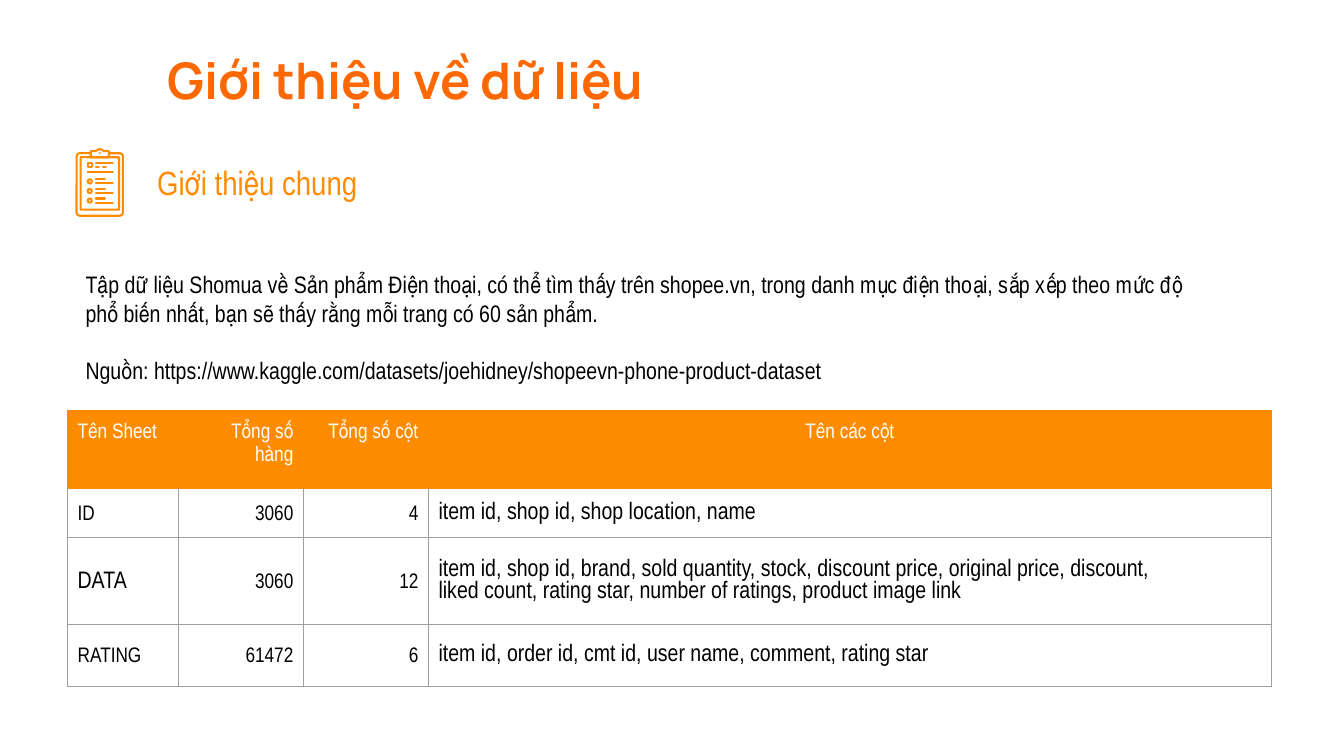
from dataclasses import dataclass

from lxml.etree import SubElement
from pptx import Presentation
from pptx.dml.color import RGBColor
from pptx.enum.shapes import MSO_CONNECTOR as Connector, MSO_SHAPE as Shape
from pptx.enum.text import MSO_ANCHOR as Anchor, PP_ALIGN as Align
from pptx.oxml.ns import qn
from pptx.util import Inches, Pt


@dataclass(frozen=True)
class Theme:
    title_color: str = "FD6803"
    accent: str = "FF8C00"
    ink: str = "000000"
    paper: str = "FFFFFF"
    rule: str = "9E9E9E"
    title_font: str = "Manrope"
    text_font: str = "Arial Narrow"
    title_size: int = 36
    heading_size: int = 24
    body_size: int = 17
    cell_size: int = 15
    rule_width: float = 0.75
    icon_stroke: float = 1.5


@dataclass(frozen=True)
class Box:
    left: float
    top: float
    width: float
    height: float

    def point(self, column, row, columns, rows):
        return (Inches(self.left + self.width * column / columns),
                Inches(self.top + self.height * row / rows))

    def emu(self):
        return [Inches(side) for side in (self.left, self.top, self.width, self.height)]


THEME = Theme()
ICON_GRID = (48, 68)
COLUMN_SHARES = (1.1, 1.24, 1.24, 8.36)
ROW_SHARES = (0.77, 0.49, 0.86, 0.62)
HEADERS = ("Tên Sheet", "Tổng số hàng", "Tổng số cột", "Tên các cột")
SHEETS = (
    ("ID", "3060", "4", ("item id, shop id, shop location, name",)),
    ("DATA", "3060", "12", (
        "item id, shop id, brand, sold quantity, stock, discount price, original price, discount,",
        "liked count, rating star, number of ratings, product image link")),
    ("RATING", "61472", "6", ("item id, order id, cmt id, user name, comment, rating star",)),
)
INTRO = (
    "Tập dữ liệu Shomua về Sản phẩm Điện thoại, có thể tìm thấy trên shopee.vn, trong danh mục "
    "điện thoại, sắp xếp theo mức độ phổ biến nhất, bạn sẽ thấy rằng mỗi trang có 60 sản phẩm.",
    "Nguồn: https://www.kaggle.com/datasets/joehidney/shopeevn-phone-product-dataset",
)


def rgb(color):
    return RGBColor.from_string(color)


def write(frame, lines, size, color, font=THEME.text_font, bold=False,
          align=Align.LEFT, spacing=1.0, gap=0):
    frame.word_wrap = True
    for index, line in enumerate(lines):
        paragraph = frame.add_paragraph() if index else frame.paragraphs[0]
        paragraph.alignment = align
        paragraph.line_spacing = spacing
        paragraph.space_before = Pt(gap if index else 0)
        run = paragraph.add_run()
        run.text = line
        run.font.size = Pt(size)
        run.font.name = font
        run.font.bold = bold
        run.font.color.rgb = rgb(color)


def set_insets(holder, inset):
    holder.margin_left = holder.margin_right = Inches(inset)
    holder.margin_top = holder.margin_bottom = Inches(inset)


def add_title(slide, box):
    title = slide.shapes.title
    title.left, title.top, title.width, title.height = box.emu()
    set_insets(title.text_frame, 0.13)
    title.text_frame.vertical_anchor = Anchor.TOP
    write(title.text_frame, ["Giới thiệu về dữ liệu"], THEME.title_size,
          THEME.title_color, THEME.title_font, bold=True)


def add_passage(slide, box, lines, size, color, anchor, gap=0):
    frame = slide.shapes.add_textbox(*box.emu()).text_frame
    set_insets(frame, 0.1)
    frame.vertical_anchor = anchor
    write(frame, lines, size, color, gap=gap)


def outline(part, fill=None):
    part.shadow.inherit = False
    if fill:
        part.fill.solid()
        part.fill.fore_color.rgb = rgb(fill)
    else:
        part.fill.background()
    part.line.color.rgb = rgb(THEME.accent)
    part.line.width = Pt(THEME.icon_stroke)


def add_clipboard(slide, box):
    shapes = slide.shapes

    def at(column, row):
        return box.point(column, row, *ICON_GRID)

    def preset(kind, left, top, right, bottom, rounding=None, fill=None):
        (x, y), (end_x, end_y) = at(left, top), at(right, bottom)
        part = shapes.add_shape(kind, x, y, end_x - x, end_y - y)
        if rounding is not None:
            part.adjustments[0] = rounding
        outline(part, fill)

    def stroke(start, end, row):
        line = shapes.add_connector(Connector.STRAIGHT, *at(start, row), *at(end, row))
        line.line.color.rgb = rgb(THEME.accent)
        line.line.width = Pt(THEME.icon_stroke)
        line.line._get_or_add_ln().set("cap", "rnd")
        SubElement(line._element.spPr, qn("a:effectLst"))

    preset(Shape.ROUNDED_RECTANGLE, 1, 5, 47, 67, 0.07)
    preset(Shape.ROUNDED_RECTANGLE, 5, 9, 43, 61, 0.01)
    clip = ((15, 9), (15, 3), (20, 3), (22, 1.5), (24, 1),
            (26, 1.5), (28, 3), (33, 3), (33, 9))
    builder = shapes.build_freeform(*at(*clip[0]))
    builder.add_line_segments([at(*corner) for corner in clip[1:]], close=True)
    outline(builder.convert_to_shape(), THEME.paper)
    stroke(23.9, 24.1, 5)

    preset(Shape.RECTANGLE, 12, 15, 16, 19)
    for start, end, row in ((20, 37, 15), (20, 23, 19), (27, 30, 19), (12, 37, 24)):
        stroke(start, end, row)
    for item in range(3):
        middle = 33 + 9.5 * item
        preset(Shape.OVAL, 12, middle - 2, 16, middle + 2)
        stroke(20, 29, middle - 2)
        stroke(20, 37, middle + 2)


def set_borders(cell, colors):
    properties = cell._tc.get_or_add_tcPr()
    for position, (side, color) in enumerate(zip(("lnL", "lnR", "lnT", "lnB"), colors)):
        border = properties.makeelement(qn(f"a:{side}"), {"w": str(Pt(THEME.rule_width))})
        properties.insert(position, border)
        SubElement(SubElement(border, qn("a:solidFill")), qn("a:srgbClr"), val=color)


def add_sheet_table(slide, box):
    records = (HEADERS, *SHEETS)
    table = slide.shapes.add_table(len(records), len(HEADERS), *box.emu()).table
    table.horz_banding = False
    for column, share in zip(table.columns, COLUMN_SHARES):
        column.width = Inches(box.width * share / sum(COLUMN_SHARES))
    for row, share in zip(table.rows, ROW_SHARES):
        row.height = Inches(box.height * share / sum(ROW_SHARES))
    for r, record in enumerate(records):
        header = r == 0
        for c, content in enumerate(record):
            cell = table.cell(r, c)
            set_insets(cell, 0.1)
            cell.vertical_anchor = Anchor.TOP if header else Anchor.MIDDLE
            cell.fill.solid()
            cell.fill.fore_color.rgb = rgb(THEME.accent if header else THEME.paper)
            side = THEME.accent if header else THEME.rule
            set_borders(cell, (side, side, THEME.accent if r < 2 else side, side))
            names = not header and c == 3
            large = names or content == "DATA"
            align = Align.RIGHT if c in (1, 2) else Align.CENTER if header and c else Align.LEFT
            write(cell.text_frame, content if names else [content],
                  THEME.body_size if large else THEME.cell_size,
                  THEME.paper if header else THEME.ink,
                  align=align, spacing=1.0 if names else 1.15)


def build_data_slide(deck):
    slide = deck.slides.add_slide(deck.slide_layouts.get_by_name("Title Only"))
    add_title(slide, Box(1.53, 0.36, 11.34, 0.93))
    add_clipboard(slide, Box(0.75, 1.47, 0.48, 0.68))
    add_passage(slide, Box(1.46, 1.64, 7.07, 0.34), ["Giới thiệu chung"],
                THEME.heading_size, THEME.accent, Anchor.MIDDLE)
    add_passage(slide, Box(0.75, 2.58, 11.25, 1.35), INTRO,
                THEME.body_size, THEME.ink, Anchor.TOP, gap=20)
    add_sheet_table(slide, Box(0.67, 4.07, 11.94, 2.74))


def main():
    deck = Presentation()
    deck.slide_width, deck.slide_height = Inches(13.33), Inches(7.5)
    build_data_slide(deck)
    deck.save("out.pptx")


if __name__ == "__main__":
    main()
